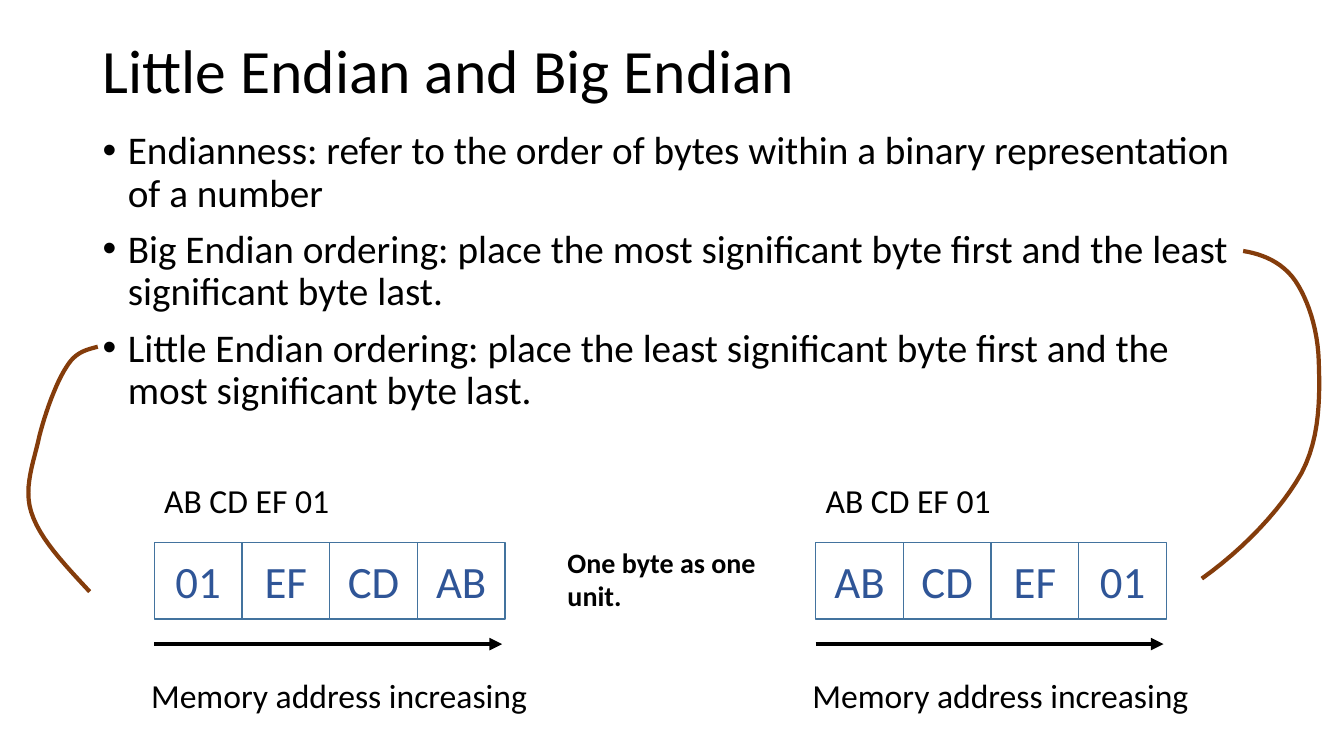
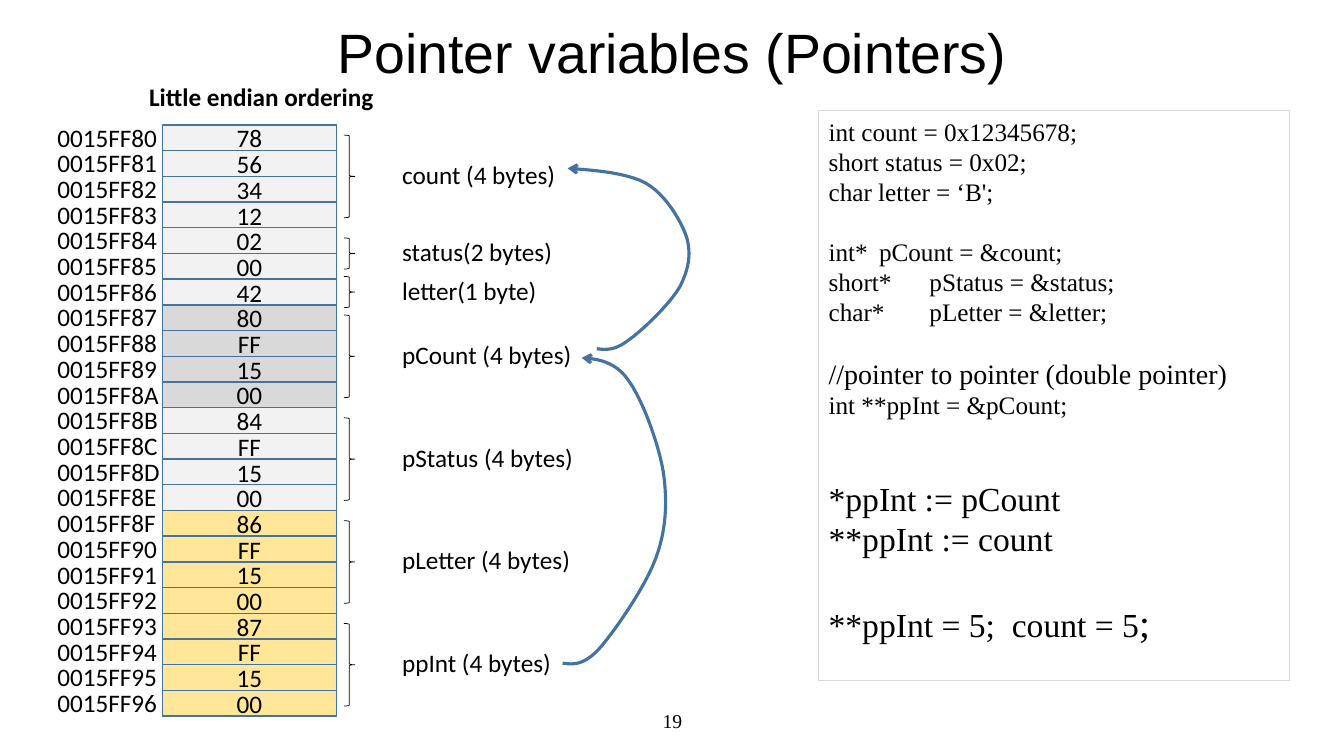
from dataclasses import dataclass

from lxml.etree import SubElement
from pptx import Presentation
from pptx.dml.color import RGBColor
from pptx.enum.shapes import MSO_CONNECTOR, MSO_SHAPE
from pptx.enum.text import MSO_ANCHOR, PP_ALIGN
from pptx.oxml.ns import qn
from pptx.util import Inches, Pt


@dataclass(frozen=True)
class Theme:
    """Colours, fonts and type sizes shared by the slides."""
    black: str = "000000"
    white: str = "FFFFFF"
    blue: str = "43739E"
    byte_text: str = "2F5597"
    brown: str = "843C0B"
    light: str = "F2F2F2"
    grey: str = "D9D9D9"
    yellow: str = "FFE699"
    sans: str = "Calibri"
    heading: str = "Arial"
    serif: str = "Times New Roman"
    title: float = 44
    title_alt: float = 39.6
    byte: float = 32
    body: float = 28
    big: float = 24
    note: float = 20
    small: float = 18
    footer: float = 14


T = Theme()


def style_run(r, size, font=T.sans, color=T.black, bold=False):
    """Format one run."""
    r.font.size = Pt(size)
    r.font.name = font
    r.font.color.rgb = RGBColor.from_string(color)
    r.font.bold = bold


def write(sp, text, size, align=PP_ALIGN.LEFT, anchor=MSO_ANCHOR.TOP,
          spacing=None, **style):
    """Fill a shape with text, one paragraph per line."""
    tf = sp.text_frame
    tf.word_wrap = True
    tf.vertical_anchor = anchor
    tf.text = text
    for p in tf.paragraphs:
        p.alignment = align
        if spacing:
            p.line_spacing = spacing
        for r in p.runs:
            style_run(r, size, **style)
    return tf


def add_text(s, box, text, size, **style):
    """Place a text box."""
    sp = s.shapes.add_textbox(*map(Inches, box))
    return write(sp, text, size, **style)


def add_title(s, box, text, size, **style):
    """Place a slide title."""
    add_text(s, box, text, size, anchor=MSO_ANCHOR.MIDDLE, spacing=0.9, **style)


def add_preset(s, kind, box, fill, line, width):
    """Place a preset shape without shadow."""
    sp = s.shapes.add_shape(kind, *map(Inches, box))
    sp.shadow.inherit = False
    if fill:
        sp.fill.solid()
        sp.fill.fore_color.rgb = RGBColor.from_string(fill)
    else:
        sp.fill.background()
    set_line(sp, line, width)
    return sp


def set_line(sp, color, width, head=None):
    """Set the line of a shape, with an optional arrowhead at its end."""
    sp.line.color.rgb = RGBColor.from_string(color)
    sp.line.width = Pt(width)
    if head:
        ln = sp.element.spPr.find(qn("a:ln"))
        SubElement(ln, qn("a:tailEnd"), type=head)


def add_cell(s, box, text, size, fill, color=T.black):
    """Place one byte of memory."""
    sp = add_preset(s, MSO_SHAPE.RECTANGLE, box, fill, T.blue, 1)
    tf = write(sp, text, size, align=PP_ALIGN.CENTER,
               anchor=MSO_ANCHOR.MIDDLE, color=color)
    tf.margin_top = tf.margin_bottom = 0


def add_arrow(s, x, y, length):
    """Place a horizontal arrow."""
    sp = s.shapes.add_connector(MSO_CONNECTOR.STRAIGHT, Inches(x), Inches(y),
                                Inches(x + length), Inches(y))
    set_line(sp, T.black, 3, "triangle")
    SubElement(sp.element.spPr, qn("a:effectLst"))


def add_curve(s, points, color, width, head=None, steps=12):
    """Draw joined cubic curves: a start, then three points for each curve."""
    path = []
    for i in range(0, len(points) - 1, 3):
        a, b, c, d = points[i:i + 4]
        for t in (n / steps for n in range(1, steps + 1)):
            u = 1 - t
            path.append(tuple(
                Inches(u**3 * a[k] + 3 * u * u * t * b[k]
                       + 3 * u * t * t * c[k] + t**3 * d[k])
                for k in (0, 1)))
    fb = s.shapes.build_freeform(*map(Inches, points[0]))
    fb.add_line_segments(path, close=False)
    sp = fb.convert_to_shape()
    sp.shadow.inherit = False
    sp.fill.background()
    set_line(sp, color, width, head)


def add_bullets(s, box, lines):
    """Place the bulleted body text."""
    tf = add_text(s, box, "\n".join(lines), T.body, spacing=0.9)
    for p in tf.paragraphs:
        p.space_before = Pt(10)
        pPr = p._p.get_or_add_pPr()
        pPr.set("marL", str(Inches(0.25)))
        pPr.set("indent", str(Inches(-0.25)))
        SubElement(pPr, qn("a:buFont"), typeface="Arial")
        SubElement(pPr, qn("a:buChar"), char="•")


def add_byte_row(s, x, y, values):
    """Show a number and the order of its bytes in memory."""
    side = 0.87
    add_text(s, (x, y, 2, 0.5), "AB CD EF 01", T.big)
    for i, value in enumerate(values):
        add_cell(s, (x + i * side, y + 0.67, side, 0.76), value, T.byte,
                 T.white, T.byte_text)
    add_arrow(s, x, y + 1.68, 3.45)
    add_text(s, (x - 0.13, y + 1.94, 4.1, 0.5), "Memory address increasing", T.big)


def add_memory(s, x, y, fields, start=0x0015FF80, pitch=0.255):
    """Stack the bytes of each field, with addresses, a brace and a label."""
    row = 0
    for label, values, fill in fields:
        middle = y + (row + len(values) / 2) * pitch
        for value in values:
            top = y + row * pitch
            add_text(s, (x - 1.14, top - 0.08, 1.4, 0.4),
                     f"{start + row:08X}", T.small)
            add_cell(s, (x, top, 1.73, pitch), value, T.small, fill)
            row += 1
        height = max(0.31, len(values) * pitch - 0.2)
        add_preset(s, MSO_SHAPE.RIGHT_BRACE,
                   (x + 1.8, middle - height / 2, 0.11, height),
                   None, T.black, 0.5)
        add_text(s, (x + 2.28, middle - 0.22, 2.1, 0.4), label, T.small)


def add_code(s, box, lines):
    """Place the framed code; each line has a size and a gap before it."""
    sp = add_preset(s, MSO_SHAPE.RECTANGLE, box, None, T.grey, 0.75)
    tf = write(sp, "\n".join(text for text, _, _ in lines), T.small, font=T.serif)
    for p, (_, size, gap) in zip(tf.paragraphs, lines):
        p.space_before = Pt(gap)
        p.runs[0].font.size = Pt(size)
    r = tf.paragraphs[-1].add_run()
    r.text = ";"
    style_run(r, T.body, font=T.serif)


def endian_slide(s):
    """Build the slide on byte order."""
    add_title(s, (0.92, 0, 11.5, 1.45), "Little Endian and Big Endian", T.title)
    add_bullets(s, (0.92, 1.25, 11.5, 4.76), [
        "Endianness: refer to the order of bytes within a binary "
        "representation of a number",
        "Big Endian ordering: place the most significant byte first and the "
        "least significant byte last.",
        "Little Endian ordering: place the least significant byte first and "
        "the most significant byte last.",
    ])
    big_endian = ["AB", "CD", "EF", "01"]
    add_byte_row(s, 1.53, 4.71, big_endian[::-1])
    add_byte_row(s, 8.09, 4.71, big_endian)
    little_link = [(0.97, 3.44), (0.86, 3.47), (0.75, 3.49), (0.66, 3.64),
                   (0.56, 3.79), (0.45, 4.09), (0.39, 4.33),
                   (0.34, 4.57), (0.23, 4.83), (0.31, 5.08),
                   (0.39, 5.34), (0.64, 5.6), (0.89, 5.87)]
    big_link = [(12.33, 2.49), (12.52, 2.52), (12.72, 2.6), (12.85, 2.79),
                (12.97, 2.97), (13.07, 3.26), (13.08, 3.58),
                (13.09, 3.9), (13.1, 4.33), (12.91, 4.69),
                (12.71, 5.05), (12.33, 5.45), (11.92, 5.74)]
    for link in (little_link, big_link):
        add_curve(s, link, T.brown, 3)
    add_text(s, (5.53, 5.36, 2.08, 0.77), "One byte as one unit.", T.note, bold=True)


def pointer_slide(s):
    """Build the slide on pointers in memory."""
    add_text(s, (4.42, 6.95, 4.5, 0.4), "19", T.footer, align=PP_ALIGN.CENTER,
             anchor=MSO_ANCHOR.MIDDLE, font=T.serif)
    add_title(s, (0, 0.22, 13.33, 0.67), "Pointer variables (Pointers)",
              T.title_alt, align=PP_ALIGN.CENTER, font=T.heading)
    add_code(s, (8.12, 1.1, 4.67, 5.65), [
        ("int count = 0x12345678;", T.small, 0),
        ("short status = 0x02;", T.small, 0),
        ("char letter = ‘B';", T.small, 0),
        ("int* \tpCount = &count;", T.small, 21),
        ("short* \tpStatus = &status;", T.small, 0),
        ("char* \tpLetter = &letter;", T.small, 0),
        ("//pointer to pointer (double pointer)", T.note, 21),
        ("int **ppInt = &pCount;", T.small, 0),
        ("*ppInt := pCount", T.big, 41.5),
        ("**ppInt := count", T.big, 0),
        ("**ppInt = 5;  count = 5", T.big, 28),
    ])
    add_text(s, (1.38, 0.76, 2.6, 0.4), "Little endian ordering", T.small, bold=True)
    add_memory(s, 1.61, 1.24, [
        ("count (4 bytes)", ["78", "56", "34", "12"], T.light),
        ("status(2 bytes)", ["02", "00"], T.light),
        ("letter(1 byte)", ["42"], T.light),
        ("pCount (4 bytes)", ["80", "FF", "15", "00"], T.grey),
        ("pStatus (4 bytes)", ["84", "FF", "15", "00"], T.light),
        ("pLetter (4 bytes)", ["86", "FF", "15", "00"], T.yellow),
        ("ppInt (4 bytes)", ["87", "FF", "15", "00"], T.yellow),
    ])
    to_pcount = [(5.58, 6.58), (5.68, 6.59), (5.78, 6.61), (5.94, 6.44),
                 (6.09, 6.27), (6.39, 5.84), (6.5, 5.55),
                 (6.61, 5.26), (6.62, 4.98), (6.58, 4.69),
                 (6.53, 4.39), (6.37, 3.96), (6.23, 3.77),
                 (6.1, 3.58), (5.91, 3.56), (5.77, 3.55)]
    to_count = [(5.92, 3.46), (6.01, 3.47), (6.1, 3.48), (6.24, 3.37),
                (6.38, 3.27), (6.64, 3.02), (6.74, 2.85),
                (6.83, 2.68), (6.86, 2.52), (6.81, 2.35),
                (6.75, 2.18), (6.6, 1.93), (6.41, 1.82),
                (6.21, 1.7), (5.76, 1.68), (5.63, 1.67)]
    for pointer in (to_pcount, to_count):
        add_curve(s, pointer, T.blue, 2.25, "arrow")


prs = Presentation()
prs.slide_width, prs.slide_height = Inches(13.33), Inches(7.5)
for build in (endian_slide, pointer_slide):
    build(prs.slides.add_slide(prs.slide_layouts[6]))
prs.save("out.pptx")
